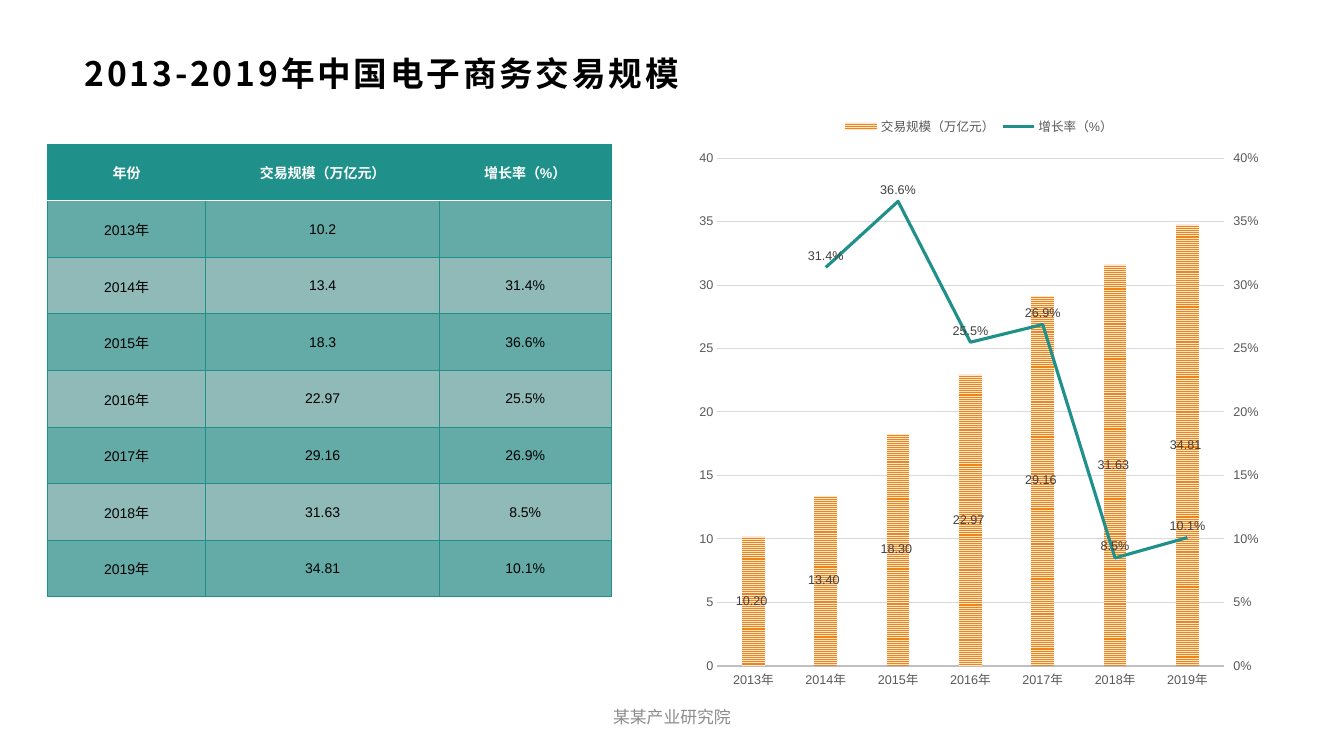
"""Build a slide with a table and a combined chart of e-commerce volume, 2013-2019."""
from lxml import etree
from pptx import Presentation
from pptx.chart.data import CategoryChartData
from pptx.dml.color import RGBColor
from pptx.enum.chart import XL_CHART_TYPE, XL_LABEL_POSITION, XL_LEGEND_POSITION, XL_MARKER_STYLE, XL_TICK_MARK
from pptx.enum.dml import MSO_PATTERN
from pptx.enum.text import MSO_ANCHOR, PP_ALIGN
from pptx.oxml import parse_xml
from pptx.oxml.ns import nsdecls, qn
from pptx.util import Inches, Pt

COLORS = {
    "teal": "20908A", "dark_row": "64AAA6", "light_row": "90BAB7", "white": "FFFFFF",
    "black": "000000", "footer": "8C8C8C", "axis_text": "595959", "label": "404040",
    "axis_line": "BFBFBF", "grid": "D9D9D9", "orange": "EF8519", "cream": "FCE7D1",
}
LATIN, CHINESE = "Arial", "Noto Sans CJK SC"
VOLUME, GROWTH = "交易规模（万亿元）", "增长率（%）"
RECORDS = [
    ("2013年", 10.2, None), ("2014年", 13.4, 0.314), ("2015年", 18.3, 0.366),
    ("2016年", 22.97, 0.255), ("2017年", 29.16, 0.269), ("2018年", 31.63, 0.085),
    ("2019年", 34.81, 0.101),
]


def color(name):
    return RGBColor.from_string(COLORS[name])


def style_font(font, size, color_name, name=LATIN, bold=False):
    for attribute, value in {"size": Pt(size), "name": name, "bold": bold}.items():
        setattr(font, attribute, value)
    font.color.rgb = color(color_name)


presentation = Presentation()
presentation.slide_width, presentation.slide_height = Inches(13.33), Inches(7.5)
slide = presentation.slides.add_slide(presentation.slide_layouts[6])

text_boxes = [
    ("2013-2019年中国电子商务交易规模", (0.73, 0.48, 11.87, 0.48), PP_ALIGN.LEFT,
     (24, "black", CHINESE, True), (0.11, 0.04, 0.08, 0.04), "200"),
    ("某某产业研究院", (4.5, 6.94, 4.33, 0.35), PP_ALIGN.CENTER,
     (12, "footer", LATIN, False), (0.1, 0.05, 0.1, 0.05), "0"),
]
for text, place, alignment, font_values, insets, spacing in text_boxes:
    frame = slide.shapes.add_textbox(*map(Inches, place)).text_frame
    frame.word_wrap = True
    frame.vertical_anchor = MSO_ANCHOR.MIDDLE
    for side, inset in zip(("left", "top", "right", "bottom"), insets):
        setattr(frame, f"margin_{side}", Inches(inset))
    paragraph = frame.paragraphs[0]
    paragraph.alignment = alignment
    run = paragraph.add_run()
    run.text = text
    style_font(run.font, *font_values)
    properties = run.font._element
    properties.set("spc", spacing)
    properties.find(qn("a:latin")).addnext(parse_xml(f'<a:ea {nsdecls("a")} typeface="{CHINESE}"/>'))

rows = [("年份", VOLUME, GROWTH)]
rows += [(year, f"{volume}", "" if growth is None else f"{growth:.1%}") for year, volume, growth in RECORDS]
table = slide.shapes.add_table(
    len(rows), 3, Inches(0.47), Inches(1.43), Inches(5.59), Inches(4.49)).table
for column, width in zip(table.columns, (1.57, 2.32, 1.7)):
    column.width = Inches(width)
for row_index, values in enumerate(rows):
    is_header = row_index == 0
    fill_name = "teal" if is_header else "dark_row" if row_index % 2 else "light_row"
    for column_index, text in enumerate(values):
        cell = table.cell(row_index, column_index)
        cell_format = {
            "text": text, "vertical_anchor": MSO_ANCHOR.MIDDLE, "margin_left": Inches(0.01),
            "margin_right": Inches(0.01), "margin_top": Inches(0.01), "margin_bottom": 0,
        }
        for attribute, value in cell_format.items():
            setattr(cell, attribute, value)
        paragraph = cell.text_frame.paragraphs[0]
        paragraph.alignment = PP_ALIGN.CENTER
        for text_part in (paragraph, *paragraph.runs):
            style_font(text_part.font, 10, "white" if is_header else "black", bold=is_header)
        cell.fill.solid()
        cell.fill.fore_color.rgb = color(fill_name)
        cell_properties = cell._tc.get_or_add_tcPr()
        for position, side in enumerate(("lnL", "lnR", "lnT", "lnB")):
            is_divider = (side, row_index) in (("lnB", 0), ("lnT", 1))
            line_color, width = ("white", 1) if is_divider else ("teal", 0.5)
            cell_properties.insert(position, parse_xml(
                f'<a:{side} {nsdecls("a")} w="{Pt(width)}"><a:solidFill>'
                f'<a:srgbClr val="{COLORS[line_color]}"/></a:solidFill></a:{side}>'))

chart_data = CategoryChartData()
chart_data.categories = [record[0] for record in RECORDS]
chart_data.add_series(VOLUME, [record[1] for record in RECORDS], "General")
chart_data.add_series(GROWTH, [record[2] for record in RECORDS], "0.0%")
chart = slide.shapes.add_chart(
    XL_CHART_TYPE.COLUMN_CLUSTERED, Inches(6.82), Inches(1.05), Inches(5.78), Inches(5.89), chart_data).chart
style_font(chart.font, 10, "black")
chart.has_title = False
chart.has_legend = True
chart.legend.position = XL_LEGEND_POSITION.TOP
chart.legend.include_in_layout = False
style_font(chart.legend.font, 9, "axis_text")

category_axis, value_axis = chart.category_axis, chart.value_axis
for axis in (category_axis, value_axis):
    axis.major_tick_mark = axis.minor_tick_mark = XL_TICK_MARK.NONE
    style_font(axis.tick_labels.font, 9, "axis_text")
category_axis.format.line.color.rgb = color("axis_line")
category_axis.format.line.width = Pt(1.5)
value_axis.format.line.fill.background()
value_axis.minimum_scale, value_axis.maximum_scale, value_axis.major_unit = 0, 40, 5
value_axis.major_gridlines.format.line.color.rgb = color("grid")
value_axis.major_gridlines.format.line.width = Pt(0.75)

bar_plot = chart.plots[0]
bar_plot.gap_width, bar_plot.overlap, bar_plot.vary_by_categories = 219, -27, False
growth_element = bar_plot._element.findall(qn("c:ser"))[1]
for bar_setting in growth_element.findall(qn("c:invertIfNegative")):
    growth_element.remove(bar_setting)
line_chart = parse_xml(
    f'<c:lineChart {nsdecls("c")}><c:grouping val="standard"/><c:varyColors val="0"/>'
    '<c:marker val="1"/><c:axId val="50010"/><c:axId val="50020"/></c:lineChart>')
line_chart.insert(2, growth_element)
bar_plot._element.addnext(line_chart)
right_axes = etree.fromstring(f'''<c:axes {nsdecls("c", "a")}>
<c:catAx><c:axId val="50010"/><c:scaling><c:orientation val="minMax"/></c:scaling>
<c:delete val="1"/><c:axPos val="b"/><c:crossAx val="50020"/></c:catAx>
<c:valAx><c:axId val="50020"/><c:scaling><c:orientation val="minMax"/><c:max val="0.4"/><c:min val="0"/></c:scaling>
<c:delete val="0"/><c:axPos val="r"/><c:numFmt formatCode="0%" sourceLinked="0"/>
<c:majorTickMark val="out"/><c:minorTickMark val="none"/><c:tickLblPos val="nextTo"/>
<c:spPr><a:ln><a:noFill/></a:ln></c:spPr>
<c:txPr><a:bodyPr/><a:p><a:pPr><a:defRPr sz="900" b="0"><a:solidFill><a:srgbClr val="{COLORS["axis_text"]}"/></a:solidFill>
<a:latin typeface="{LATIN}"/></a:defRPr></a:pPr><a:endParaRPr lang="zh-CN"/></a:p></c:txPr>
<c:crossAx val="50010"/><c:crosses val="max"/><c:crossBetween val="between"/><c:majorUnit val="0.05"/></c:valAx>
</c:axes>''')
for axis_element in reversed(list(right_axes)):
    value_axis._element.addnext(axis_element)

volume_series, growth_series = chart.plots[0].series[0], chart.plots[1].series[0]
pattern_fill = volume_series.format.fill
pattern_fill.patterned()
pattern_fill.pattern = MSO_PATTERN.NARROW_HORIZONTAL
pattern_fill.fore_color.rgb = color("orange")
pattern_fill.back_color.rgb = color("cream")
growth_series.smooth = False
growth_series.marker.style = XL_MARKER_STYLE.NONE
growth_series.format.line.color.rgb = color("teal")
growth_series.format.line.width = Pt(2.25)
for series, number_format, position in (
        (volume_series, r"#,##0.00_);[Red]\(#,##0.00\)", XL_LABEL_POSITION.CENTER),
        (growth_series, "0.0%", XL_LABEL_POSITION.ABOVE)):
    label_format = {
        "show_value": True, "number_format": number_format,
        "number_format_is_linked": False, "position": position,
    }
    for attribute, value in label_format.items():
        setattr(series.data_labels, attribute, value)
    style_font(series.data_labels.font, 9, "label")

presentation.save("out.pptx")
